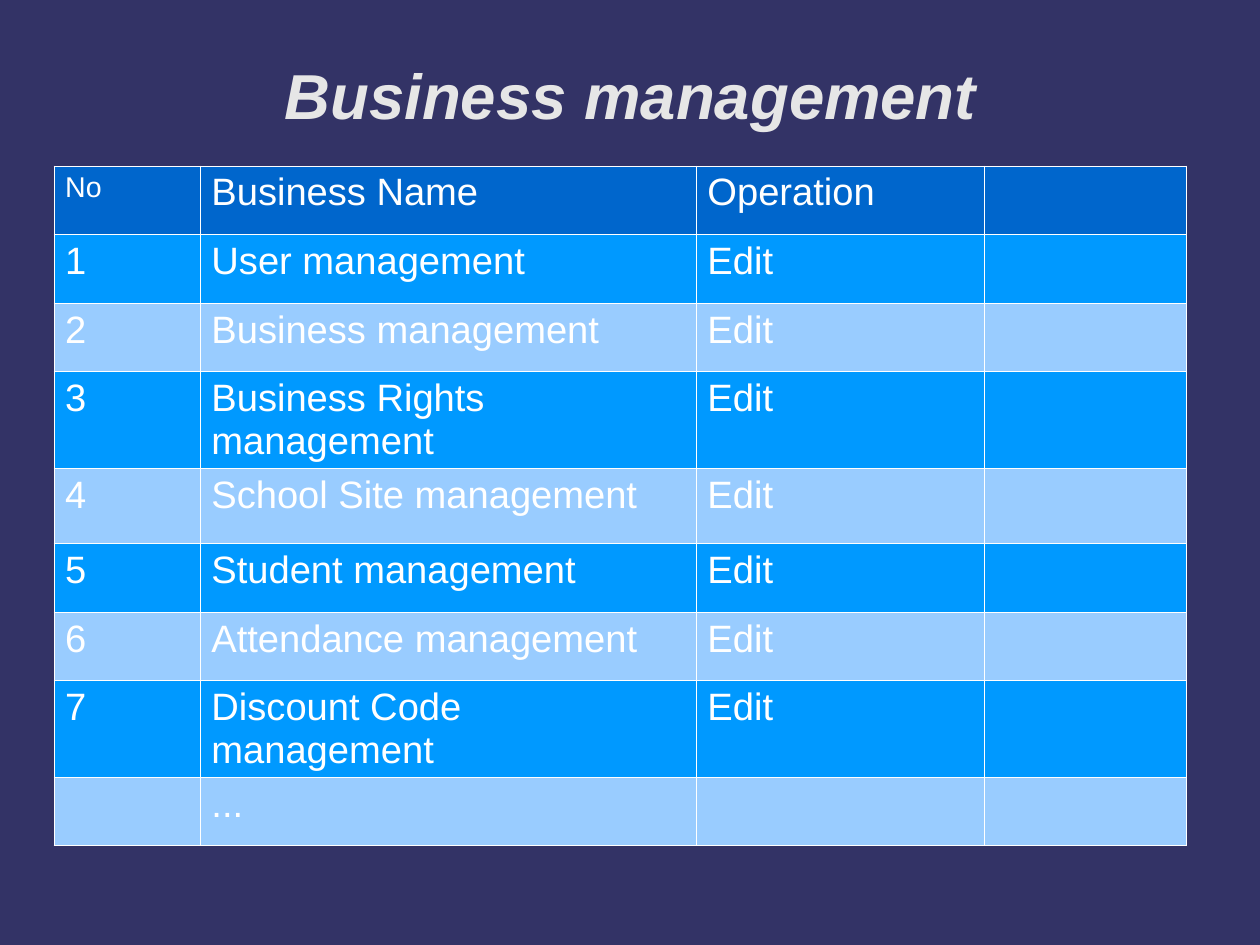
"""Build the business management slide with its table of operations."""
from lxml.etree import SubElement
from pptx import Presentation
from pptx.dml.color import RGBColor
from pptx.enum.text import MSO_ANCHOR, PP_ALIGN
from pptx.oxml.ns import qn
from pptx.util import Cm, Inches, Pt

TITLE = "Business management"
HEADER = ("No", "Business Name", "Operation", "")
BUSINESSES = (
    "User management",
    "Business management",
    "Business Rights management",
    "School Site management",
    "Student management",
    "Attendance management",
    "Discount Code management",
)
ROWS = [
    HEADER,
    *((str(number), name, "Edit", "") for number, name in enumerate(BUSINESSES, 1)),
    ("", "...", "", ""),
]
COLUMN_WIDTHS = (1.28, 4.34, 2.52, 1.77)
ROW_HEIGHT = 0.6
TALL_ROWS = {4: 0.66}
BACKGROUND, TITLE_COLOR, WHITE = "333366", "E6E6E6", "FFFFFF"
HEADER_FILL, BAND_FILLS = "0066CC", ("99CCFF", "0099FF")
BORDER_WIDTH = Pt(0.06)


def paint(fill, color):
    fill.solid()
    fill.fore_color.rgb = RGBColor.from_string(color)


def write(frame, text, size, color, bold=False, italic=False):
    para = frame.paragraphs[0]
    span = para.add_run()
    span.text = text
    font = span.font
    font.name, font.size, font.bold, font.italic = "Arial", Pt(size), bold, italic
    font.color.rgb = RGBColor.from_string(color)
    return para


def add_borders(cell, color):
    properties = cell._tc.get_or_add_tcPr()
    for position, side in enumerate(("a:lnL", "a:lnR", "a:lnT", "a:lnB")):
        line = properties.makeelement(qn(side), {"w": str(int(BORDER_WIDTH))})
        properties.insert(position, line)
        SubElement(SubElement(line, qn("a:solidFill")), qn("a:srgbClr"), val=color)


def add_title(page):
    box = page.shapes.title
    box.left, box.top, box.width, box.height = map(Inches, (0.81, 0.13, 9.41, 1.38))
    frame = box.text_frame
    frame.margin_left = frame.margin_right = frame.margin_top = frame.margin_bottom = 0
    frame.vertical_anchor = MSO_ANCHOR.MIDDLE
    frame.word_wrap = True
    write(frame, TITLE, 40, TITLE_COLOR, bold=True, italic=True).alignment = PP_ALIGN.CENTER


def add_business_table(page):
    heights = [TALL_ROWS.get(index, ROW_HEIGHT) for index in range(len(ROWS))]
    table = page.shapes.add_table(
        len(ROWS), len(HEADER), Inches(0.47), Inches(1.45),
        Inches(sum(COLUMN_WIDTHS)), Inches(sum(heights)),
    ).table
    for column, width in zip(table.columns, COLUMN_WIDTHS):
        column.width = Inches(width)
    for index, (row, height, texts) in enumerate(zip(table.rows, heights, ROWS)):
        row.height = Inches(height)
        for cell, text in zip(row.cells, texts):
            paint(cell.fill, BAND_FILLS[index % 2] if index else HEADER_FILL)
            add_borders(cell, WHITE)
            if text:
                para = write(cell.text_frame, text, 18 if text == "No" else 24, WHITE)
                para.space_after = Pt(4.5)


def main():
    deck = Presentation()
    deck.slide_width, deck.slide_height = Cm(28), Cm(21)
    page = deck.slides.add_slide(deck.slide_layouts.get_by_name("Title Only"))
    paint(page.background.fill, BACKGROUND)
    add_title(page)
    add_business_table(page)
    deck.save("out.pptx")


if __name__ == "__main__":
    main()
